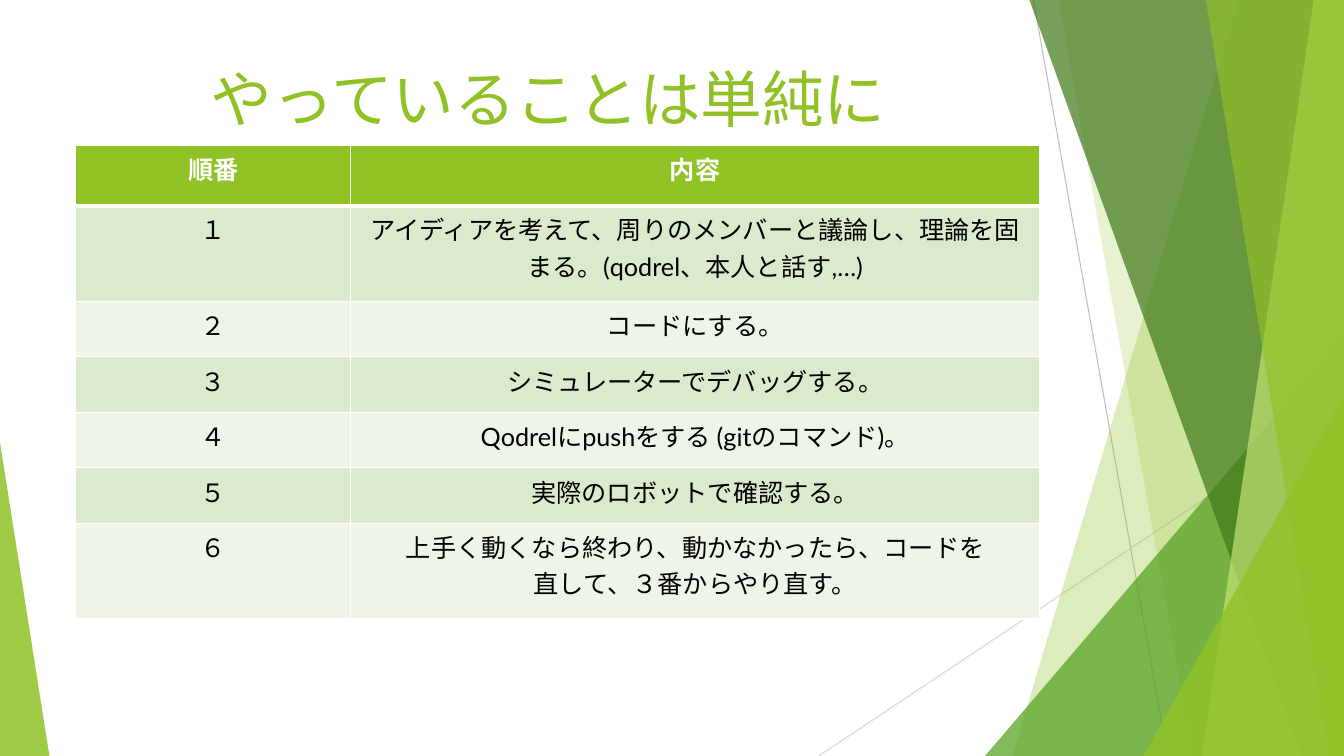
import pptx
import pptx.util
import pptx.dml.color
import pptx.enum.shapes
import pptx.enum.text
import pptx.oxml
from dataclasses import dataclass
from lxml import etree
from pptx.oxml.ns import qn
from pptx.util import Inches


@dataclass(frozen=True)
class Theme:
    font: str = "Lato"
    title_size: int = 44
    body_size: int = 18
    lime: str = "90C226"
    pale_lime: str = "C0E474"
    green: str = "54A021"
    forest: str = "3F7819"
    band_dark: str = "DBE9CD"
    band_light: str = "EEF4E8"
    white: str = "FFFFFF"
    black: str = "000000"
    grey: str = "BFBFBF"
    light_grey: str = "D9D9D9"


T = Theme()
W, H = 13.33, 7.5

COLUMNS = (2.73, 6.83)
HEADER = ("順番", "内容")
HEADER_HEIGHT = 0.6
# Row height and the paragraphs of each step
STEPS = (
    (0.95, ["アイディアを考えて、周りのメンバーと議論し、理論を固まる。(qodrel、本人と話す,…)"]),
    (0.55, ["コードにする。"]),
    (0.55, ["シミュレーターでデバッグする。"]),
    (0.55, ["Qodrelにpushをする (gitのコマンド)。"]),
    (0.55, ["実際のロボットで確認する。"]),
    (0.95, ["上手く動くなら終わり、動かなかったら、コードを", "直して、３番からやり直す。"]),
)
NUMBERS = "１２３４５６"


def rgb(color):
    return pptx.dml.color.RGBColor.from_string(color)


def paint(sp, color, opacity):
    sp.shadow.inherit = False
    sp.line.fill.background()
    sp.fill.solid()
    sp.fill.fore_color.rgb = rgb(color)
    clr = sp.fill._xPr.find(qn("a:solidFill"))[0]
    etree.SubElement(clr, qn("a:alpha"), val=str(opacity * 1000))


def add_line(s, start, end, color):
    ends = [Inches(v) for v in (*start, *end)]
    cn = s.shapes.add_connector(pptx.enum.shapes.MSO_CONNECTOR.STRAIGHT, *ends)
    cn.line.color.rgb = rgb(color)
    cn.line.width = pptx.util.Pt(0.75)
    etree.SubElement(cn._element.spPr, qn("a:effectLst"))


def add_blade(s, top, bottom, color, opacity):
    """Full-height panel from a slanted left edge to the slide's right edge."""
    points = [(Inches(x), Inches(y)) for x, y in ((top, 0), (W, 0), (W, H), (bottom, H))]
    fb = s.shapes.build_freeform(*points[0])
    fb.add_line_segments(points[1:], close=True)
    paint(fb.convert_to_shape(), color, opacity)


def add_corner(s, left, top, width, apex, color, opacity):
    """Triangle standing on the slide's bottom edge."""
    sp = s.shapes.add_shape(pptx.enum.shapes.MSO_SHAPE.ISOSCELES_TRIANGLE,
                            Inches(left), Inches(top), Inches(width), Inches(H - top))
    sp.adjustments[0] = apex
    paint(sp, color, opacity)


def add_text(p, text, size, color, bold=False):
    p.alignment = pptx.enum.text.PP_ALIGN.CENTER
    r = p.add_run()
    r.text = text
    r.font.name = T.font
    r.font.size = pptx.util.Pt(size)
    r.font.bold = bold
    r.font.color.rgb = rgb(color)


def add_title(s, text):
    tf = s.shapes.add_textbox(Inches(0.74), Inches(0.56), Inches(9.4), Inches(1.44)).text_frame
    tf.word_wrap = True
    tf.vertical_anchor = pptx.enum.text.MSO_ANCHOR.TOP
    add_text(tf.paragraphs[0], text, T.title_size, T.lime)


def set_borders(cell, top, bottom):
    widths = {"lnL": 1, "lnR": 1, "lnT": top, "lnB": bottom}
    for i, (tag, width) in enumerate(widths.items()):
        ln = etree.Element(qn("a:" + tag), w=str(pptx.util.Pt(width)))
        fill = etree.SubElement(ln, qn("a:solidFill"))
        etree.SubElement(fill, qn("a:srgbClr"), val=T.white)
        cell._tc.get_or_add_tcPr().insert(i, ln)


def fill_cell(cell, lines, fill, color, bold=False, top=1, bottom=1):
    cell.fill.solid()
    cell.fill.fore_color.rgb = rgb(fill)
    set_borders(cell, top, bottom)
    tf = cell.text_frame
    for i, line in enumerate(lines):
        p = tf.add_paragraph() if i else tf.paragraphs[0]
        add_text(p, line, T.body_size, color, bold)


def add_steps_table(s):
    heights = [HEADER_HEIGHT] + [height for height, _ in STEPS]
    tbl = s.shapes.add_table(len(heights), len(COLUMNS), Inches(0.75), Inches(1.44),
                             Inches(sum(COLUMNS)), Inches(sum(heights))).table
    tbl.first_row = tbl.horz_banding = False
    for col, width in zip(tbl.columns, COLUMNS):
        col.width = Inches(width)
    for row, height in zip(tbl.rows, heights):
        row.height = Inches(height)

    for c, text in enumerate(HEADER):
        fill_cell(tbl.cell(0, c), [text], T.lime, T.white, bold=True, bottom=3)
    for i, (number, (_, lines)) in enumerate(zip(NUMBERS, STEPS), start=1):
        band = T.band_dark if i % 2 else T.band_light
        for c, content in enumerate(([number], lines)):
            fill_cell(tbl.cell(i, c), content, band, T.black, top=3 if i == 1 else 1)


def add_backdrop(s):
    add_line(s, (10.25, 0), (11.58, H), T.grey)
    add_line(s, (W, 4.03), (8.12, H), T.light_grey)
    add_blade(s, 12.28, 10.04, T.lime, 30)
    add_blade(s, 10.5, 11.83, T.lime, 20)
    add_corner(s, 9.77, 3.33, 3.56, 1, T.green, 72)
    add_blade(s, 10.21, 12.91, T.forest, 70)
    add_blade(s, 13.03, 11.92, T.pale_lime, 70)
    add_blade(s, 11.96, 13.18, T.lime, 65)
    add_corner(s, 11.34, 3.93, 1.99, 1, T.lime, 80)
    add_corner(s, 0, 4.39, 0.49, 0, T.lime, 85)


def main():
    prs = pptx.Presentation()
    prs.slide_width, prs.slide_height = Inches(W), Inches(H)
    s = prs.slides.add_slide(prs.slide_layouts[6])

    # Green panels behind the content
    add_backdrop(s)

    # Title and table of steps
    add_title(s, "やっていることは単純に")
    add_steps_table(s)

    prs.save("out.pptx")


if __name__ == "__main__":
    main()
